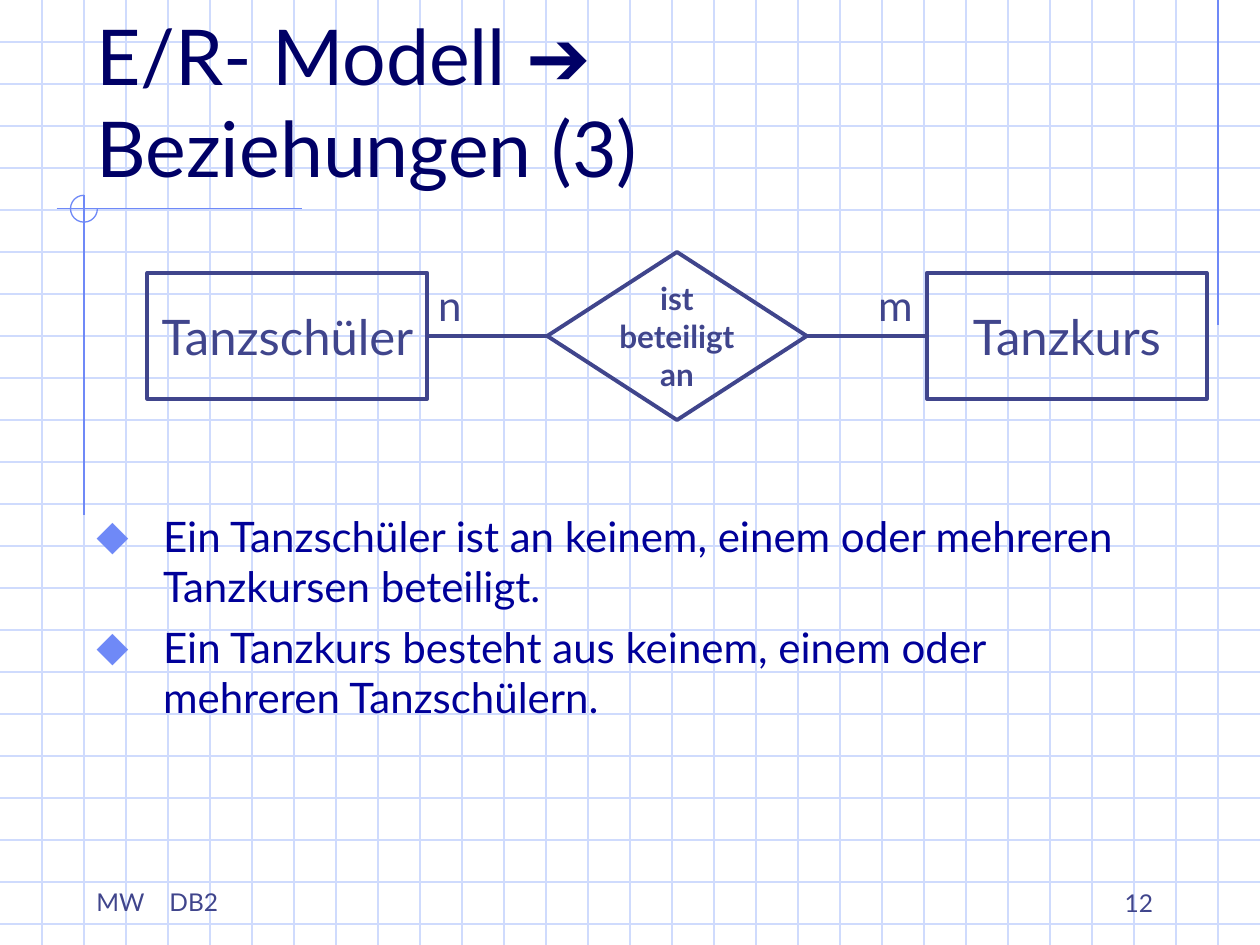
from lxml.etree import SubElement
from pptx import Presentation
from pptx.dml.color import RGBColor
from pptx.enum.shapes import MSO_CONNECTOR, MSO_SHAPE
from pptx.enum.text import MSO_ANCHOR, PP_ALIGN
from pptx.oxml import parse_xml
from pptx.oxml.ns import nsdecls, qn
from pptx.util import Inches, Pt

COLORS = {
    "grid": "CFDBFD",
    "accent": "6F89F7",
    "ink": "40458C",
    "title": "000066",
    "body": "000099",
}
FONT = "Lato"
STEP = 1 / 3  # side of one background square, in inches
COLUMNS, ROWS = 30, 22.5


def grid(squares):
    """Length of a number of background squares."""
    return Inches(squares * STEP)


def color(name):
    return RGBColor.from_string(COLORS[name])


def add_line(slide, start, end, color_name, width=0.75):
    line = slide.shapes.add_connector(
        MSO_CONNECTOR.STRAIGHT, *map(grid, start), *map(grid, end))
    line.line.color.rgb = color(color_name)
    line.line.width = Pt(width)
    SubElement(line._element.spPr, qn("a:effectLst"))
    return line


def add_outline(slide, preset, box, color_name, width=0.75):
    shape = slide.shapes.add_shape(preset, *map(grid, box))
    shape.shadow.inherit = False
    shape.fill.background()
    shape.line.color.rgb = color(color_name)
    shape.line.width = Pt(width)
    return shape


def write(shape, text, size, color_name, wrap=True, anchor=MSO_ANCHOR.TOP,
          align=PP_ALIGN.LEFT, bold=False):
    """Fill a shape with text, one paragraph per line of the string."""
    frame = shape.text_frame
    frame.word_wrap = wrap
    frame.vertical_anchor = anchor
    frame.text = text
    for paragraph in frame.paragraphs:
        paragraph.alignment = align
        paragraph.font.name = FONT
        paragraph.font.size = Pt(size)
        paragraph.font.bold = bold
        paragraph.font.color.rgb = color(color_name)
    return frame


def add_text(slide, box, text, size, color_name, **options):
    shape = slide.shapes.add_textbox(*map(grid, box))
    return write(shape, text, size, color_name, **options)


def add_properties(paragraph, *fragments):
    """Put bullet or tab settings ahead of the paragraph's font."""
    font_properties = paragraph._p.pPr.find(qn("a:defRPr"))
    for tag, content in fragments:
        font_properties.addprevious(
            parse_xml(f"<a:{tag} {nsdecls('a')} {content}"))


def add_bullet(paragraph):
    indent = Inches(0.53)
    paragraph.space_before = Pt(6)
    paragraph._p.pPr.set("marL", str(indent))
    paragraph._p.pPr.set("indent", str(-indent))
    add_properties(
        paragraph,
        ("buClr", f'><a:srgbClr val="{COLORS["accent"]}"/></a:buClr>'),
        ("buSzPct", 'val="110000"/>'),
        ("buFont", 'typeface="Arial"/>'),
        ("buChar", 'char="⬥"/>'),
    )


def add_background(slide):
    # Squared paper
    for row in range(1, int(ROWS) + 1):
        add_line(slide, (0, row), (COLUMNS, row), "grid")
    for column in range(1, COLUMNS):
        add_line(slide, (column, 0), (column, ROWS), "grid")
    # Accent lines crossing in an open circle
    add_line(slide, (29, 0), (29, 7.74), "accent")
    add_line(slide, (1.35, 4.97), (7.2, 4.97), "accent")
    add_line(slide, (2, 4.65), (2, 12.27), "accent")
    arc = add_outline(slide, MSO_SHAPE.ARC, (1.68, 4.65, 0.64, 0.64), "accent")
    arc.adjustments[0] = 0
    arc.adjustments[1] = 162  # 270 degrees in hundred-thousands of 1/60000


def add_title(slide):
    frame = add_text(slide, (2, 1, 25.5, 3.75), "E/R- Modell ", 44, "title",
                     anchor=MSO_ANCHOR.BOTTOM)
    paragraph = frame.paragraphs[0]
    arrow = paragraph.add_run()
    arrow.text = "➔"
    arrow.font.name = "Arial"
    paragraph.add_line_break()
    paragraph.add_run().text = "Beziehungen (3)"


def add_node(slide, preset, center, width, height, text, size, bold=False):
    """Diagram node centred on the common axis."""
    axis = 8
    box = (center - width / 2, axis - height / 2, width, height)
    node = add_outline(slide, preset, box, "ink", 2.25)
    write(node, text, size, "ink", wrap=False, anchor=MSO_ANCHOR.MIDDLE,
          align=PP_ALIGN.CENTER, bold=bold)
    return node


def join(slide, left, right):
    line = add_line(slide, (0, 0), (0, 0), "ink", 2.25)
    line.begin_connect(left, 3)
    line.end_connect(right, 1)


def add_diagram(slide):
    middle, gap = 16.12, 9.28
    relation = add_node(slide, MSO_SHAPE.DIAMOND, middle, 6.18, 4,
                        "ist\nbeteiligt\nan", 18, bold=True)
    student = add_node(slide, MSO_SHAPE.RECTANGLE, middle - gap, 6.66, 3,
                       "Tanzschüler", 28)
    course = add_node(slide, MSO_SHAPE.RECTANGLE, middle + gap, 6.66, 3,
                      "Tanzkurs", 28)
    join(slide, student, relation)
    join(slide, relation, course)
    # Cardinalities
    for left, width, text in ((10.14, 1.2, "n"), (20.61, 1.53, "m")):
        add_text(slide, (left, 6.5, width, 1.5), text, 24, "ink", wrap=False)


def add_body(slide):
    frame = add_text(
        slide, (2, 12, 25.5, 7.74),
        "Ein Tanzschüler ist an keinem, einem oder mehreren Tanzkursen beteiligt.\n"
        "Ein Tanzkurs besteht aus keinem, einem oder mehreren Tanzschülern.",
        24, "body")
    for paragraph in frame.paragraphs:
        add_bullet(paragraph)


def add_footer(slide):
    frame = add_text(slide, (2, 20.97, 6.75, 1.02), "MW\tDB2", 14, "ink")
    paragraph = frame.paragraphs[0]
    paragraph.space_before = Pt(8.8)
    add_properties(
        paragraph,
        ("tabLst", f'><a:tab pos="{Inches(0.58)}" algn="l"/></a:tabLst>'))
    add_text(slide, (21.5, 20.5, 6.25, 1.5), "12", 14, "ink",
             anchor=MSO_ANCHOR.BOTTOM, align=PP_ALIGN.RIGHT)


def main():
    presentation = Presentation()
    presentation.slide_width = grid(COLUMNS)
    presentation.slide_height = grid(ROWS)
    slide = presentation.slides.add_slide(presentation.slide_layouts[6])
    add_background(slide)
    add_title(slide)
    add_body(slide)
    add_diagram(slide)
    add_footer(slide)
    presentation.save("out.pptx")


if __name__ == "__main__":
    main()
